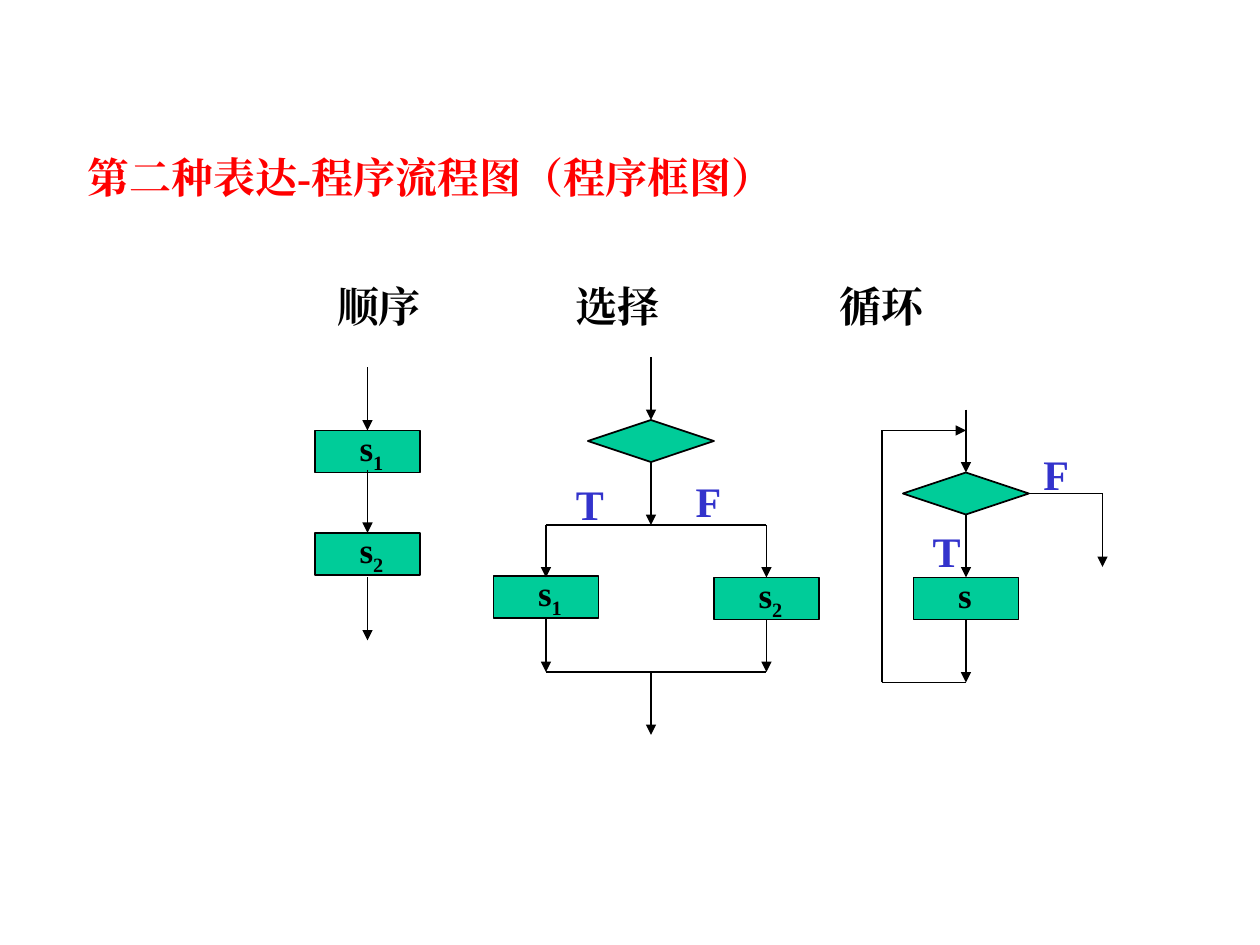
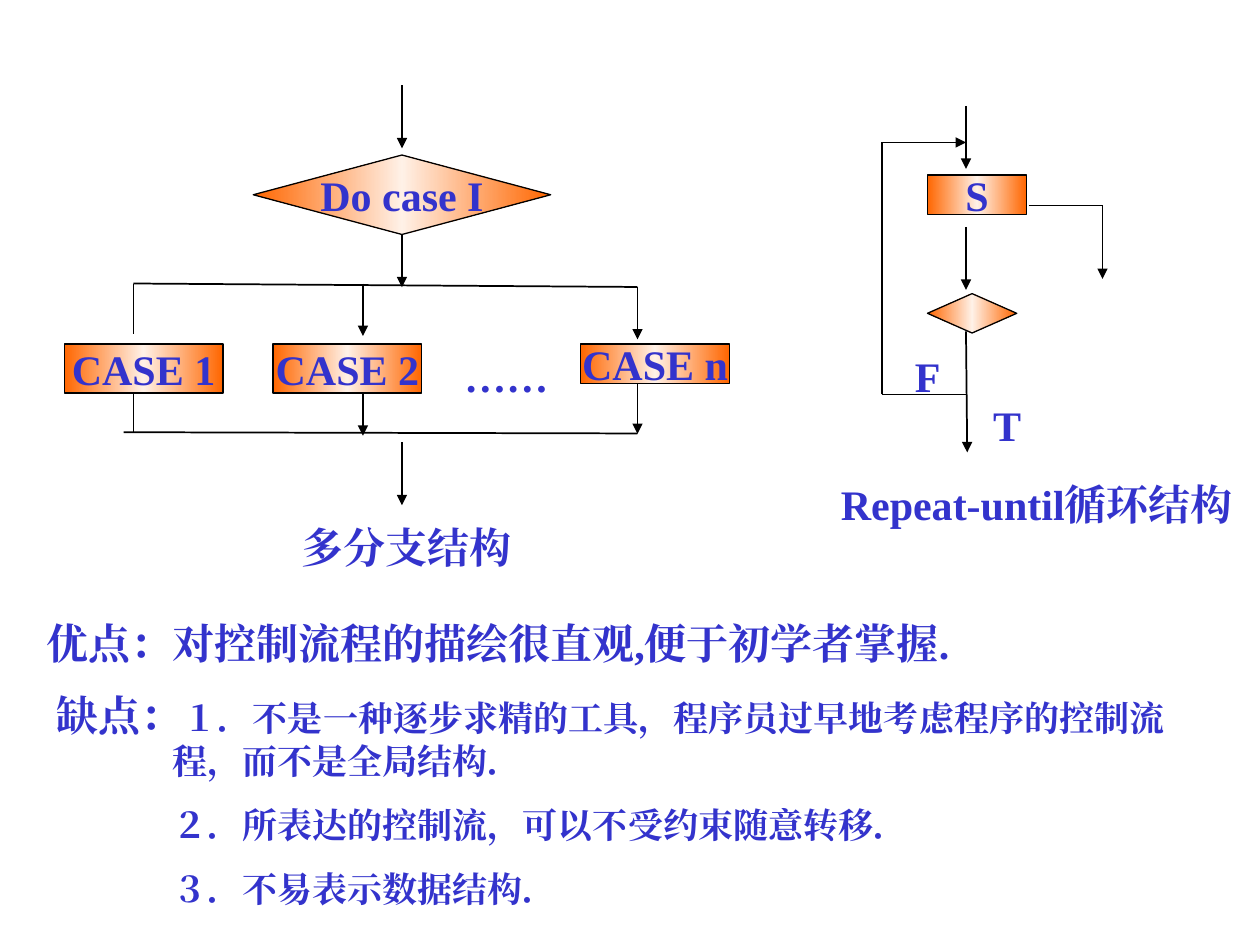
from copy import deepcopy
from dataclasses import dataclass
from typing import NamedTuple

from pptx import Presentation
from pptx.dml.color import RGBColor
from pptx.enum.shapes import MSO_CONNECTOR, MSO_SHAPE
from pptx.enum.text import MSO_ANCHOR, PP_ALIGN
from pptx.oxml.ns import qn
from pptx.oxml.xmlchemy import OxmlElement
from pptx.util import Pt


@dataclass(frozen=True)
class Theme:
    font: str = "Times New Roman"
    black: RGBColor = RGBColor(0x00, 0x00, 0x00)
    red: RGBColor = RGBColor(0xFF, 0x00, 0x00)
    blue: RGBColor = RGBColor(0x33, 0x33, 0xCC)
    green: RGBColor = RGBColor(0x00, 0xCC, 0x99)
    orange: RGBColor = RGBColor(0xFF, 0x66, 0x00)
    cream: RGBColor = RGBColor(0xFF, 0xF1, 0xE7)
    large: float = 24
    small: float = 20
    flow_line: float = 1
    thin_line: float = 0.75


class Box(NamedTuple):
    x: float
    y: float
    w: float
    h: float


class Line(NamedTuple):
    x1: float
    y1: float
    x2: float
    y2: float
    arrow: bool = True
    width: float = 1


class Node(NamedTuple):
    box: Box
    kind: MSO_SHAPE = MSO_SHAPE.RECTANGLE
    text: str = ""
    sub: str = ""


class Label(NamedTuple):
    text: str
    box: Box
    color: RGBColor
    align: PP_ALIGN = PP_ALIGN.CENTER


class Para(NamedTuple):
    runs: tuple[tuple[str, float], ...]
    left: float = 0
    indent: float = 0
    before: float = 0


T = Theme()
STEP_W, STEP_H = 60, 24
LETTER_W, LETTER_H = 45, 36


def add_run(p, text: str, size: float, color: RGBColor, sub: bool = False) -> None:
    r = p.add_run()
    r.text = text
    r.font.name = T.font
    r.font.size = Pt(size)
    r.font.bold = True
    r.font.color.rgb = color
    ea = OxmlElement("a:ea")
    ea.set("typeface", T.font)
    r.font._element.find(qn("a:latin")).addnext(ea)
    if sub:
        r.font._element.set("baseline", "-25000")


def text_frame(s, box: Box, wrap: bool = True):
    tf = s.shapes.add_textbox(*map(Pt, box)).text_frame
    tf.word_wrap = wrap
    return tf


def draw_label(s, label: Label) -> None:
    p = text_frame(s, label.box).paragraphs[0]
    p.alignment = label.align
    add_run(p, label.text, T.large, label.color)


def draw_line(s, line: Line) -> None:
    ends = map(Pt, line[:4])
    c = s.shapes.add_connector(MSO_CONNECTOR.STRAIGHT, *ends)
    c.line.color.rgb = T.black
    c.line.width = Pt(line.width)
    if line.arrow:
        tail = OxmlElement("a:tailEnd")
        tail.set("type", "triangle")
        c.line._get_or_add_ln().append(tail)
    c._element.spPr.append(OxmlElement("a:effectLst"))


def draw_outline(s, node: Node, width: float):
    sp = s.shapes.add_shape(node.kind, *map(Pt, node.box))
    sp.shadow.inherit = False
    sp.line.color.rgb = T.black
    sp.line.width = Pt(width)
    return sp


def draw_green_node(s, node: Node) -> None:
    sp = draw_outline(s, node, T.flow_line)
    sp.fill.solid()
    sp.fill.fore_color.rgb = T.green
    if node.text:
        box = Box(node.box.x + 18.4, node.box.y - 6, 28, 34)
        p = text_frame(s, box, wrap=False).paragraphs[0]
        add_run(p, node.text, T.small, T.black)
        if node.sub:
            add_run(p, node.sub, T.small, T.black, sub=True)


def draw_orange_node(s, node: Node) -> None:
    sp = draw_outline(s, node, T.thin_line)
    sp.fill.gradient()
    sp.fill.gradient_angle = 0
    stops = sp._element.spPr.find(".//" + qn("a:gsLst"))
    stops.append(deepcopy(stops[0]))
    colors = (T.orange, T.cream, T.orange)
    for i, (stop, color) in enumerate(zip(sp.fill.gradient_stops, colors)):
        stop.position = i / 2
        stop.color.rgb = color
    if node.text:
        tf = sp.text_frame
        tf.word_wrap = False
        tf.vertical_anchor = MSO_ANCHOR.MIDDLE
        p = tf.paragraphs[0]
        p.alignment = PP_ALIGN.CENTER
        add_run(p, node.text, T.large, T.blue)


def draw_paragraphs(s, box: Box, paras: list[Para]) -> None:
    tf = text_frame(s, box)
    for i, para in enumerate(paras):
        p = tf.add_paragraph() if i else tf.paragraphs[0]
        if para.before:
            p.space_before = Pt(para.before)
        pPr = p._p.get_or_add_pPr()
        pPr.set("marL", str(Pt(para.left)))
        pPr.set("indent", str(Pt(para.indent)))
        for text, size in para.runs:
            add_run(p, text, size, T.blue)


def step(x: float, y: float, text: str, sub: str = "") -> Node:
    return Node(Box(x - STEP_W / 2, y, STEP_W, STEP_H), text=text, sub=sub)


def decision(x: float, y: float) -> Node:
    return Node(Box(x - 36, y, 72, STEP_H), MSO_SHAPE.FLOWCHART_DECISION)


def letter(text: str, x: float, y: float) -> Label:
    return Label(text, Box(x, y, LETTER_W, LETTER_H), T.blue)


def loop_lines(top: float) -> list[Line]:
    back, main, out = 504, 552, 630
    return [
        Line(back, top + 144, main, top + 144, False),
        Line(back, top + 144, back, top, False),
        Line(back, top, main, top),
        Line(588, top + 36, out, top + 36, False),
        Line(out, top + 36, out, top + 78),
    ]


def build_basic_structures(s) -> None:
    draw_label(s, Label("第二种表达-程序流程图（程序框图）",
                        Box(42.7, 82.8, 442, 36), T.red, PP_ALIGN.LEFT))
    for text, x in (("顺序", 185.5), ("选择", 321.5), ("循环", 472.5)):
        draw_label(s, Label(text, Box(x, 157, 70, 36), T.black, PP_ALIGN.LEFT))

    seq, fork, loop = 210, 372, 552
    branches = (312, 438)
    nodes = [
        step(seq, 246, "s", "1"), step(seq, 304.5, "s", "2"),
        decision(fork, 240),
        step(branches[0], 329, "s", "1"), step(branches[1], 330, "s", "2"),
        decision(loop, 270), step(loop, 330, "s"),
    ]
    drops = [(seq, 210), (seq, 268.5), (seq, 330),
             (fork, 204), (fork, 264), (fork, 384),
             (loop, 234), (loop, 294), (loop, 354)]
    lines = [Line(x, y, x, y + 36) for x, y in drops]
    lines += [Line(x, y, x, y + 30) for x in branches for y in (300, 354)]
    lines += [Line(branches[0], y, branches[1], y, False) for y in (300, 384)]
    lines += loop_lines(246)
    for node in nodes:
        draw_green_node(s, node)
    for line in lines:
        draw_line(s, line)
    for text, x, y in (("T", 314.6, 270), ("F", 382.3, 268),
                       ("T", 518.4, 296.6), ("F", 581, 252.7)):
        draw_label(s, letter(text, x, y))


def build_case_and_repeat(s) -> None:
    case, first, second, last, loop = 229.7, 76.3, 207.4, 364.3, 552
    fork, merge = 162, 247
    lines = [Line(x, y, x, y + 36) for x, y in
             ((loop, 60.5), (loop, 129.6),
              (case, 48.8), (case, 128.2), (case, 252.7))]
    lines += [Line(x, y, x, y + 30) for x, y in
              ((second, fork), (last, 164), (second, 219), (last, 218))]
    lines += [
        Line(loop, 189.4, loop + 0.7, 258.5),
        Line(first, fork, last, 164, False),
        Line(70.6, merge, last, 247.7, False),
        Line(first, fork, first, 190.8, False, T.thin_line),
        Line(first, 224.6, first, merge, False, T.thin_line),
    ]
    lines += loop_lines(81.4)
    cases_y = 196.6
    nodes = [
        Node(Box(530, 167.8, 51, 22.5), MSO_SHAPE.DIAMOND),
        Node(Box(530, 100, 56.7, 22.5), text="S"),
        Node(Box(36.7, cases_y, 90.7, 28), text="CASE 1"),
        Node(Box(156, cases_y, 85, 28), text="CASE 2"),
        Node(Box(331.8, cases_y, 85, 22.5), text="CASE n"),
        Node(Box(144.7, 88.6, 170, 45.4), MSO_SHAPE.DIAMOND, "Do case I"),
    ]
    labels = [
        letter("T", 553, 224.6), letter("F", 507.6, 196.6),
        Label("……", Box(252.7, cases_y, 73.4, 36), T.blue),
        Label("多分支结构", Box(105, 294.5, 255, 36), T.blue),
        Label("Repeat-until循环结构", Box(465, 270, 255, 36), T.blue),
    ]
    for line in lines:
        draw_line(s, line)
    for node in nodes:
        draw_orange_node(s, node)
    for label in labels:
        draw_label(s, label)
    draw_paragraphs(s, Box(19.4, 349.2, 661, 174), [
        Para((("优点：对控制流程的描绘很直观,便于初学者掌握.", T.large),)),
        Para((("缺点：", T.large),
              ("１．不是一种逐步求精的工具，程序员过早地考虑程序的控制流程，而不是全局结构．",
               T.small)), 72, -66, 12.5),
        Para((("２．所表达的控制流，可以不受约束随意转移．", T.small),), 72, 0, 12.5),
        Para((("３．不易表示数据结构．", T.small),), 72, 0, 12.5),
    ])


def main() -> None:
    prs = Presentation()
    prs.slide_width, prs.slide_height = Pt(720), Pt(540)
    for build in (build_basic_structures, build_case_and_repeat):
        build(prs.slides.add_slide(prs.slide_layouts[6]))
    prs.save("out.pptx")


if __name__ == "__main__":
    main()
